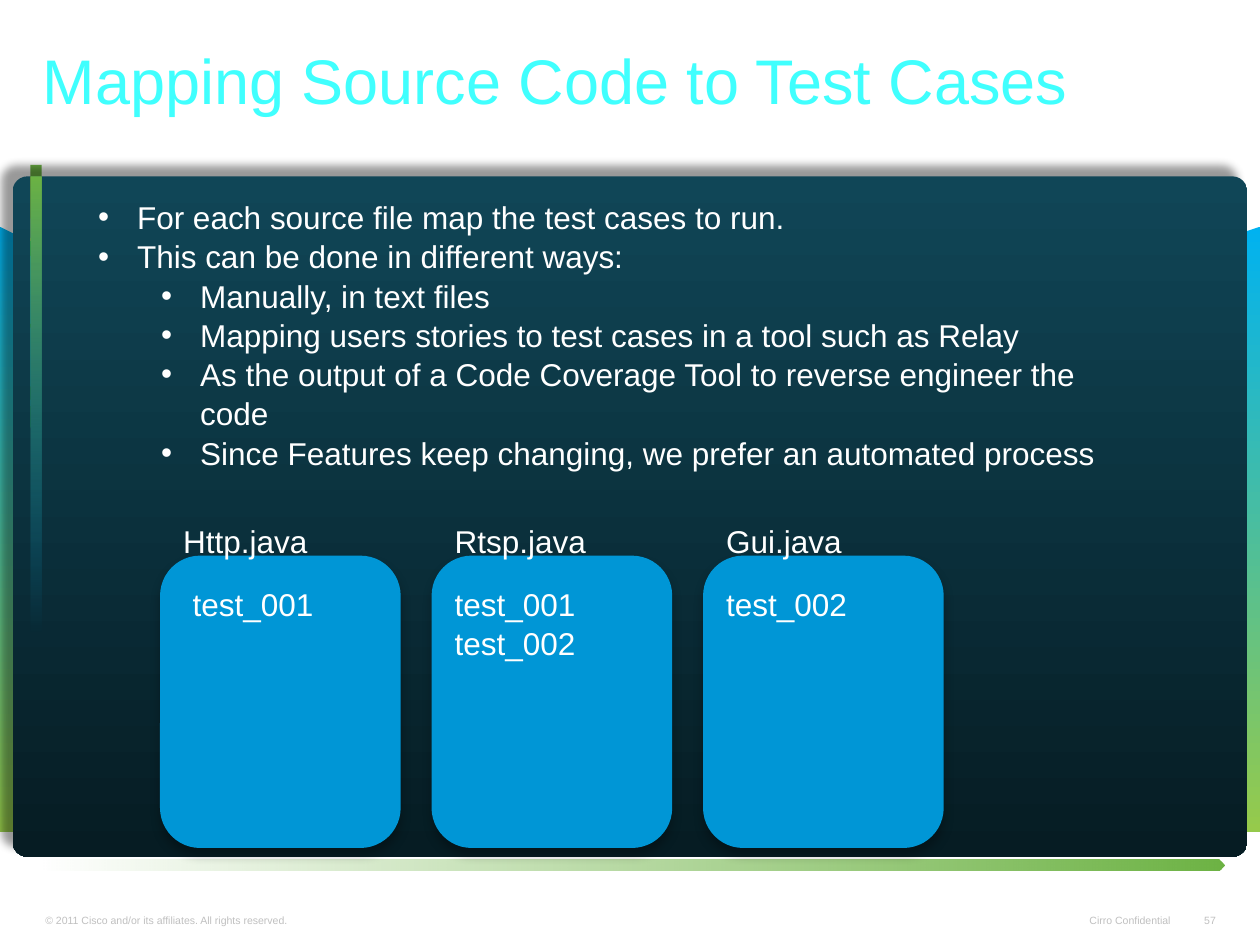
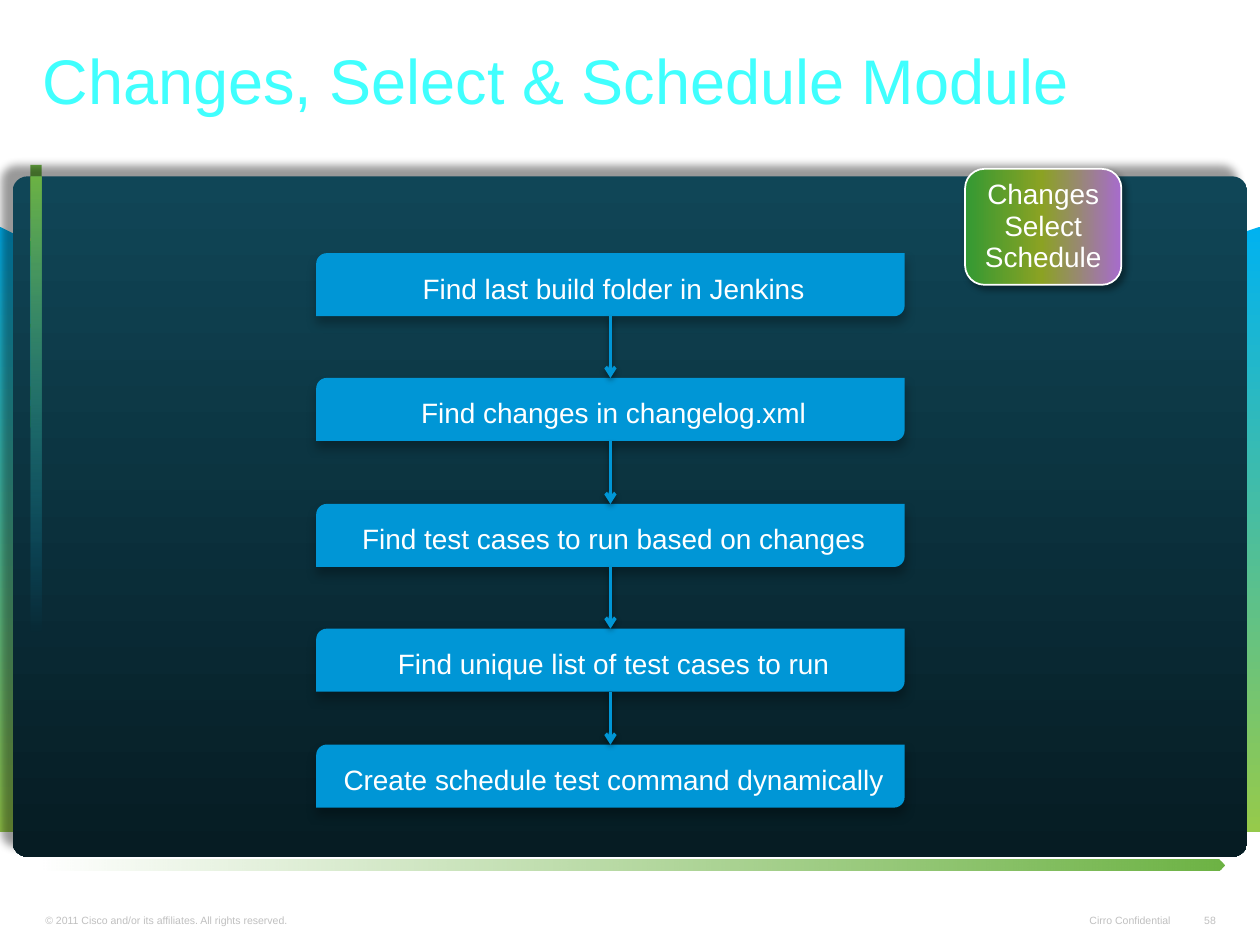
from dataclasses import dataclass

from lxml import etree
from pptx import Presentation
from pptx import util as u
from pptx.dml.color import RGBColor
from pptx.enum import shapes, text
from pptx.oxml import ns

SHAPE = shapes.MSO_SHAPE
ALIGN = text.PP_ALIGN
ANCHOR = text.MSO_ANCHOR


@dataclass(frozen=True)
class Theme:
    font: str = "Arial"
    title: str = "40FFFE"
    body: str = "FFFFFF"
    footer: str = "C0C0C0"
    accent: str = "0096D6"
    green: str = "6DB344"
    panel: tuple = ((0, "104657", 100), (100, "061C23", 100))
    sweep: tuple = ((0, "00B2F0", 100), (100, "96CA4B", 100))
    fade_left: tuple = ((0, "6DB344", 100), (100, "6DB344", 0))
    fade_down: tuple = ((0, "6DB344", 100), (67, "0096D6", 0))
    badge: tuple = ((0, "339933", 100), (49, "8BA223", 100), (100, "A76BCE", 100))
    panel_shadow: tuple = (40, 5, 8, 225)
    card_shadow: tuple = (27, 6, 4, 90)
    arrow_shadow: tuple = (38, 3.1, 1.6, 90)
    badge_shadow: tuple = (40, 4, 3, 45)
    title_size: int = 36
    body_size: int = 18
    step_size: int = 16
    footer_size: int = 6
    body_spacing: float = 1.04


def child(parent, tag, **attributes):
    return etree.SubElement(parent, ns.qn(f"a:{tag}"),
                            {key: str(value) for key, value in attributes.items()})


def tint(parent, color, opacity):
    child(child(parent, "srgbClr", val=color), "alpha", val=opacity * 1000)


def bezier(start, first, second, end, steps=40):
    for step in range(1, steps + 1):
        t = step / steps
        weights = ((1 - t) ** 3, 3 * t * (1 - t) ** 2, 3 * t * t * (1 - t), t ** 3)
        yield tuple(sum(w * point[axis] for w, point in
                        zip(weights, (start, first, second, end))) for axis in (0, 1))


class Deck:
    COLUMNS, ROWS = 100, 75

    def __init__(self, theme):
        self.theme = theme
        self.show = Presentation()
        self.show.slide_width, self.show.slide_height = u.Inches(10), u.Inches(7.5)
        self.column = self.show.slide_width / self.COLUMNS
        self.row = self.show.slide_height / self.ROWS
        self.slide = None

    def place(self, left, top, width, height):
        return (round(left * self.column), round(top * self.row),
                round(width * self.column), round(height * self.row))

    def paint(self, shape, fill, angle=90):
        if isinstance(fill, str):
            shape.fill.solid()
            shape.fill.fore_color.rgb = RGBColor.from_string(fill)
            return
        shape.fill.gradient()
        gradient = shape._element.spPr.find(ns.qn("a:gradFill"))
        for part in list(gradient):
            gradient.remove(part)
        stops = child(gradient, "gsLst")
        for position, color, opacity in fill:
            tint(child(stops, "gs", pos=position * 1000), color, opacity)
        child(gradient, "lin", ang=angle * 60000, scaled=0)

    def shade(self, effects, shadow):
        opacity, blur, distance, direction = shadow
        outer = child(effects, "outerShdw", blurRad=u.Pt(blur), dist=u.Pt(distance),
                      dir=direction * 60000, algn="ctr", rotWithShape=0)
        tint(outer, "000000", opacity)

    def finish(self, shape, fill, angle=90, shadow=None, outline=None):
        self.paint(shape, fill, angle)
        if outline:
            shape.line.color.rgb = RGBColor.from_string(outline)
            shape.line.width = u.Pt(1)
        else:
            shape.line.fill.background()
        shape.shadow.inherit = False
        if shadow:
            self.shade(shape._element.spPr.find(ns.qn("a:effectLst")), shadow)
        return shape

    def block(self, preset, area, fill, corner=None, **look):
        shape = self.slide.shapes.add_shape(preset, *self.place(*area))
        if corner is not None:
            shape.adjustments[0] = corner
        return self.finish(shape, fill, **look)

    def outline(self, points, fill):
        builder = self.slide.shapes.build_freeform(
            *points[0], scale=(self.column, self.row))
        builder.add_line_segments(points[1:], close=True)
        return self.finish(builder.convert_to_shape(), fill)

    def label(self, shape, lines, size, color=None, align=ALIGN.LEFT, spacing=None,
              anchor=ANCHOR.TOP, insets=(1, 0.5, 1, 0.5), wrap=True, levels=None):
        frame = shape.text_frame
        frame.word_wrap, frame.vertical_anchor = wrap, anchor
        sides = ("margin_left", "margin_top", "margin_right", "margin_bottom")
        margins = [round(inset * self.column) for inset in insets]
        for side, margin in zip(sides, margins):
            setattr(frame, side, margin)
        for index, line in enumerate(lines):
            paragraph = frame.paragraphs[0] if index == 0 else frame.add_paragraph()
            paragraph.text = line
            paragraph.alignment = align
            paragraph.line_spacing = spacing or self.theme.body_spacing
            if levels:
                self.bullet(paragraph, levels[index])
            paragraph.font.name = self.theme.font
            paragraph.font.size = u.Pt(size)
            paragraph.font.color.rgb = RGBColor.from_string(color or self.theme.body)

    def bullet(self, paragraph, level):
        paragraph.level = level
        properties = paragraph._p.get_or_add_pPr()
        properties.set("marL", str(u.Inches(0.31 + 0.5 * level)))
        properties.set("indent", str(u.Inches(-0.31)))
        child(properties, "buFont", typeface=self.theme.font)
        child(properties, "buChar", char="•")

    def words(self, area, lines, size, **style):
        self.label(self.slide.shapes.add_textbox(*self.place(*area)), lines, size, **style)

    def arrow(self, x, start, end):
        left, top, _, height = self.place(x, start, 0, end - start)
        line = self.slide.shapes.add_connector(
            shapes.MSO_CONNECTOR.STRAIGHT, left, top, left, top + height)
        line.line.color.rgb = RGBColor.from_string(self.theme.accent)
        line.line.width = u.Pt(2)
        properties = line._element.spPr
        child(properties.find(ns.qn("a:ln")), "tailEnd", type="arrow")
        self.shade(child(properties, "effectLst"), self.theme.arrow_shadow)

    def footer(self, area, line, **style):
        self.words(area, [line], self.theme.footer_size, color=self.theme.footer,
                   anchor=ANCHOR.BOTTOM, insets=(0.9, 0.4, 0.9, 0.4), **style)

    def page(self, title, number):
        theme = self.theme
        self.slide = self.show.slides.add_slide(self.show.slide_layouts[6])
        self.footer((2.7, 72, 37.4, 1.9),
                    "© 2011 Cisco and/or its affiliates. All rights reserved.")
        self.footer((84.9, 72, 8.9, 1.9), "Cirro Confidential",
                    align=ALIGN.RIGHT, wrap=False)
        self.footer((94.6, 72, 2.8, 1.9), str(number), align=ALIGN.RIGHT, wrap=False)
        upper = bezier((0, 18.4), (32.8, 22.7), (66.5, 21.9), (100, 18.4))
        lower = bezier((100, 65.8), (66.6, 62.9), (33.3, 62.7), (0, 65.8))
        self.outline([(0, 18.4), *upper, (100, 65.8), *lower], theme.sweep)
        self.block(SHAPE.RECTANGLE, (2.4, 13.1, 0.9, 54), theme.green)
        self.block(SHAPE.PENTAGON, (3.2, 68.2, 94, 0.9), theme.fade_left, angle=180)
        self.block(SHAPE.ROUNDED_RECTANGLE, (1, 14, 98, 54), theme.panel,
                   corner=0.022, shadow=theme.panel_shadow)
        self.block(SHAPE.RECTANGLE, (2.4, 14, 0.9, 54), theme.fade_down)
        self.words((2.5, 3.7, 93.8, 9.2), [title], theme.title_size, color=theme.title,
                   spacing=0.86, insets=(0.9, 0.5, 0.9, 0.5))


def mapping_slide(deck):
    theme = deck.theme
    deck.page("Mapping Source Code to Test Cases", 57)
    sources = [("Http.java", ["test_001"], 1.6),
               ("Rtsp.java", ["test_001", "test_002"], 0.85),
               ("Gui.java", ["test_002"], 0.85)]
    lefts = [12.7 + 21.55 * index for index in range(len(sources))]
    for left in lefts:
        deck.block(SHAPE.ROUNDED_RECTANGLE, (left, 44.1, 19.1, 23.2), theme.accent,
                   shadow=theme.card_shadow)
    for left, (source, tests, offset) in zip(lefts, sources):
        deck.words((left + 0.85, 40.8, 19.9, 4), [source], theme.body_size)
        deck.words((left + offset, 45.8, 19.9, 1 + 3 * len(tests)), tests, theme.body_size)
    points = [(0, "For each source file map the test cases to run."),
              (0, "This can be done in different ways:"),
              (1, "Manually, in text files"),
              (1, "Mapping users stories to test cases in a tool such as Relay"),
              (1, "As the output of a Code Coverage Tool to reverse engineer the code"),
              (1, "Since Features keep changing, we prefer an automated process")]
    levels, lines = zip(*points)
    deck.words((6.8, 15.1, 82.2, 22.2), lines, theme.body_size, levels=levels)


def schedule_slide(deck):
    theme = deck.theme
    deck.page("Changes, Select & Schedule Module", 58)
    steps = {20.1: "Find last build folder in Jenkins",
             30: "Find changes in changelog.xml",
             40: "Find test cases to run based on changes",
             49.9: "Find unique list of test cases to run",
             59.1: "Create schedule test command dynamically"}
    left, width, height = 25.1, 46.7, 5
    for top, step in steps.items():
        bar = deck.block(SHAPE.ROUND_2_DIAG_RECTANGLE, (left, top, width, height),
                         theme.accent, shadow=theme.card_shadow)
        deck.label(bar, [step], theme.step_size, align=ALIGN.CENTER,
                   anchor=ANCHOR.MIDDLE, insets=(1.5, 0.7, 1, 0.3))
    tops = list(steps)
    for top, following in zip(tops, tops[1:]):
        deck.arrow(left + width / 2, top + height, following)
    badge = deck.block(SHAPE.ROUNDED_RECTANGLE, (76.6, 13.4, 12.4, 9.2), theme.badge,
                       angle=0, shadow=theme.badge_shadow, outline=theme.body)
    deck.label(badge, ["Changes", "Select", "Schedule"], theme.step_size,
               align=ALIGN.CENTER, anchor=ANCHOR.MIDDLE, spacing=0.94)


def main():
    deck = Deck(Theme())
    mapping_slide(deck)
    schedule_slide(deck)
    deck.show.save("out.pptx")


if __name__ == "__main__":
    main()
